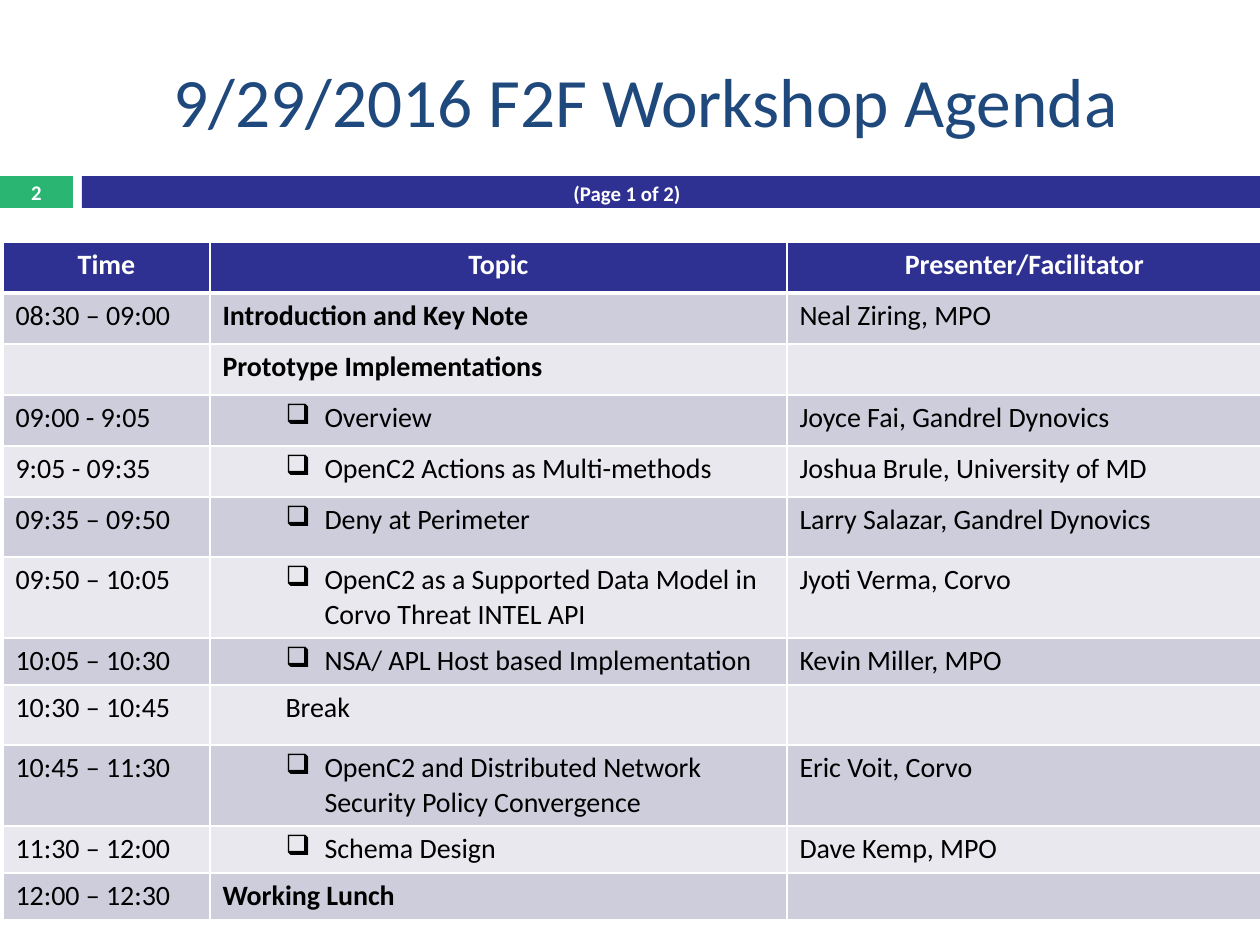
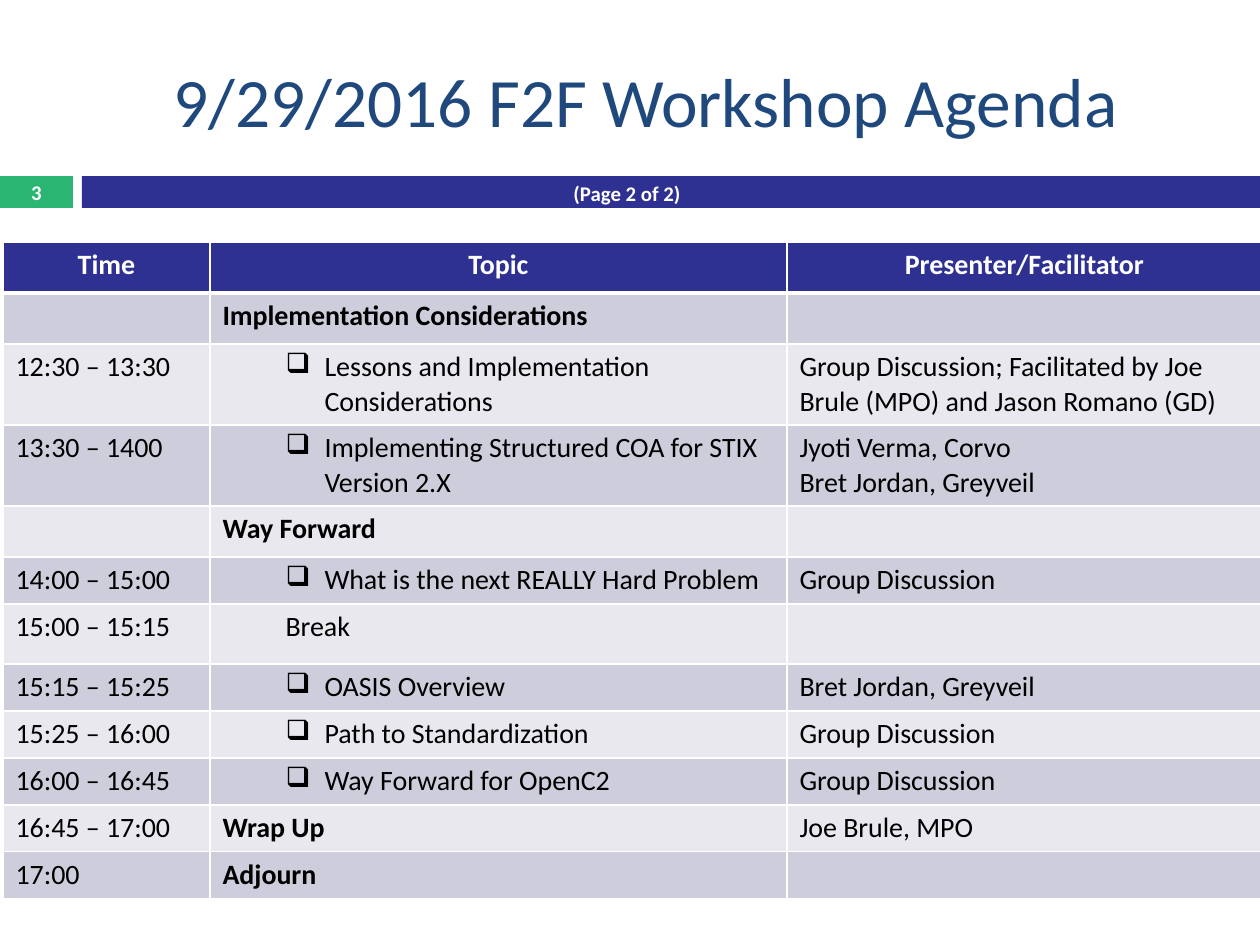
from lxml import etree
from pptx import Presentation
from pptx import util as u
from pptx.dml.color import RGBColor
from pptx.enum import shapes, text
from pptx.oxml import ns

PX = u.Inches(1) / 126
SLIDE_W, SLIDE_H = 1260, 945
FONT = "Calibri"
NAVY, GREEN, TITLE_BLUE = "2E3092", "2AB573", "1F497D"
WHITE, BLACK = "FFFFFF", "000000"
ROW_BANDS = ("CDCDDC", "E8E8EE")
CENTER, LEFT = text.PP_ALIGN.CENTER, text.PP_ALIGN.LEFT

TABLE_BOX = (3, 242, 1259)
COLUMN_WIDTHS = (207, 577, 475)
HEADINGS = ("Time", "Topic", "Presenter/Facilitator")
TALL, MEDIUM, SHORT, TWO_LINES = 60, 51, 47, 81

# Topic styles: section headings are bold, items carry a bullet, breaks are only indented
SECTION = {"bold": True}
ITEM = {"margin": 102, "indent": -39, "bullet": "❑"}
BREAK = {"margin": 63, "indent": 0}

# Each row: height, time, topic style, topic, presenter
MORNING = [
    (MEDIUM, "08:30 – 09:00", SECTION, "Introduction and Key Note", "Neal Ziring, MPO"),
    (MEDIUM, "", SECTION, "Prototype Implementations", ""),
    (MEDIUM, "09:00 - 9:05", ITEM, "Overview", "Joyce Fai, Gandrel Dynovics"),
    (MEDIUM, "9:05 - 09:35", ITEM, "OpenC2 Actions as Multi-methods",
     "Joshua Brule, University of MD"),
    (TALL, "09:35 – 09:50", ITEM, "Deny at Perimeter", "Larry Salazar, Gandrel Dynovics"),
    (TWO_LINES, "09:50 – 10:05", ITEM,
     "OpenC2 as a Supported Data Model in Corvo Threat INTEL API", "Jyoti Verma, Corvo"),
    (SHORT, "10:05 – 10:30", ITEM, "NSA/ APL Host based Implementation", "Kevin Miller, MPO"),
    (TALL, "10:30 – 10:45", BREAK, "Break", ""),
    (TWO_LINES, "10:45 – 11:30", ITEM,
     "OpenC2 and Distributed Network Security Policy Convergence", "Eric Voit, Corvo"),
    (SHORT, "11:30 – 12:00", ITEM, "Schema Design", "Dave Kemp, MPO"),
    (SHORT, "12:00 – 12:30", SECTION, "Working Lunch", ""),
]
AFTERNOON = [
    (MEDIUM, "", SECTION, "Implementation Considerations", ""),
    (TWO_LINES, "12:30 – 13:30", ITEM, "Lessons and Implementation Considerations",
     "Group Discussion; Facilitated by Joe Brule (MPO) and Jason Romano (GD)"),
    (TWO_LINES, "13:30 – 1400", ITEM, "Implementing Structured COA for STIX Version 2.X",
     "Jyoti Verma, Corvo\nBret Jordan, Greyveil"),
    (MEDIUM, "", SECTION, "Way Forward", ""),
    (SHORT, "14:00 – 15:00", ITEM, "What is the next REALLY Hard Problem", "Group Discussion"),
    (TALL, "15:00 – 15:15", BREAK, "Break", ""),
    (SHORT, "15:15 – 15:25", ITEM, "OASIS Overview", "Bret Jordan, Greyveil"),
    (SHORT, "15:25 – 16:00", ITEM, "Path to Standardization", "Group Discussion"),
    (SHORT, "16:00 – 16:45", ITEM, "Way Forward for OpenC2", "Group Discussion"),
    (SHORT, "16:45 – 17:00", SECTION, "Wrap Up", "Joe Brule, MPO"),
    (SHORT, "17:00", SECTION, "Adjourn", ""),
]


def emu(px):
    return u.Emu(round(px * PX))


def color(hex_code):
    return RGBColor.from_string(hex_code)


def write(frame, words, size=16, hue=BLACK, bold=False, align=LEFT,
          margin=0, indent=0, bullet=None):
    """Fill a text frame, one paragraph per line of words."""
    for i, line in enumerate(words.split("\n")):
        paragraph = frame.add_paragraph() if i else frame.paragraphs[0]
        paragraph.alignment = align
        if margin:
            paragraph.level = 1
            props = paragraph._p.get_or_add_pPr()
            props.set("marL", str(emu(margin)))
            props.set("indent", str(emu(indent)))
            if bullet:
                etree.SubElement(props, ns.qn("a:buChar"), char=bullet)
        if not line:
            # An empty cell needs its size here, or its row grows
            etree.SubElement(paragraph._p, ns.qn("a:endParaRPr"), sz=str(size * 100))
            continue
        run = paragraph.add_run()
        run.text = line
        run.font.name, run.font.size, run.font.bold = FONT, u.Pt(size), bold
        run.font.color.rgb = color(hue)


def add_label(slide, box, words, **style):
    frame = slide.shapes.add_textbox(*map(emu, box)).text_frame
    frame.word_wrap = True
    frame.vertical_anchor = text.MSO_ANCHOR.MIDDLE
    write(frame, words, align=CENTER, **style)


def add_band(slide, box, hue):
    band = slide.shapes.add_shape(shapes.MSO_SHAPE.RECTANGLE, *map(emu, box))
    band.shadow.inherit = False
    band.fill.solid()
    band.fill.fore_color.rgb = color(hue)
    band.line.fill.background()


def add_header(slide, number, caption):
    top, height, number_w, gap = 176, 32, 73, 9
    bar_left = number_w + gap
    add_band(slide, (0, top, number_w, height), GREEN)
    add_band(slide, (bar_left, top, SLIDE_W - bar_left, height), NAVY)
    add_label(slide, (84, 32, 1124, 136), "9/29/2016 F2F Workshop Agenda",
              size=39.6, hue=TITLE_BLUE)
    small = {"size": 11.9, "hue": WHITE, "bold": True}
    add_label(slide, (0, top - 1, number_w, height + 2), str(number), **small)
    add_label(slide, (84, top, 1086, height + 2), caption, **small)


def style_cell(cell, fill, bottom_pt=1):
    """Draw white borders round a cell, then fill it."""
    props = cell._tc.get_or_add_tcPr()
    for side, points in (("L", 1), ("R", 1), ("T", 1), ("B", bottom_pt)):
        line = etree.SubElement(props, ns.qn(f"a:ln{side}"), w=str(u.Pt(points)))
        solid = etree.SubElement(line, ns.qn("a:solidFill"))
        etree.SubElement(solid, ns.qn("a:srgbClr"), val=WHITE)
    cell.fill.solid()
    cell.fill.fore_color.rgb = color(fill)


def add_agenda(slide, box, sessions):
    left, top, width = box
    heights = [MEDIUM] + [session[0] for session in sessions]
    table = slide.shapes.add_table(len(heights), len(HEADINGS),
                                   *map(emu, (left, top, width, sum(heights)))).table
    for column, column_w in zip(table.columns, COLUMN_WIDTHS):
        column.width = emu(column_w)
    for row, height in zip(table.rows, heights):
        row.height = emu(height)
    for cell, heading in zip(table.rows[0].cells, HEADINGS):
        style_cell(cell, NAVY, bottom_pt=3)
        write(cell.text_frame, heading, hue=WHITE, bold=True, align=CENTER)
    for i, (_, time, topic_style, topic, presenter) in enumerate(sessions):
        entries = ((time, {}), (topic, topic_style), (presenter, {}))
        for cell, (words, style) in zip(table.rows[i + 1].cells, entries):
            style_cell(cell, ROW_BANDS[i % 2])
            write(cell.text_frame, words, **style)


def main():
    deck = Presentation()
    deck.slide_width, deck.slide_height = emu(SLIDE_W), emu(SLIDE_H)
    pages = (MORNING, AFTERNOON)
    for page, sessions in enumerate(pages, start=1):
        slide = deck.slides.add_slide(deck.slide_layouts[6])
        add_header(slide, page + 1, f"(Page {page} of {len(pages)})")
        add_agenda(slide, TABLE_BOX, sessions)
    deck.save("out.pptx")


if __name__ == "__main__":
    main()
